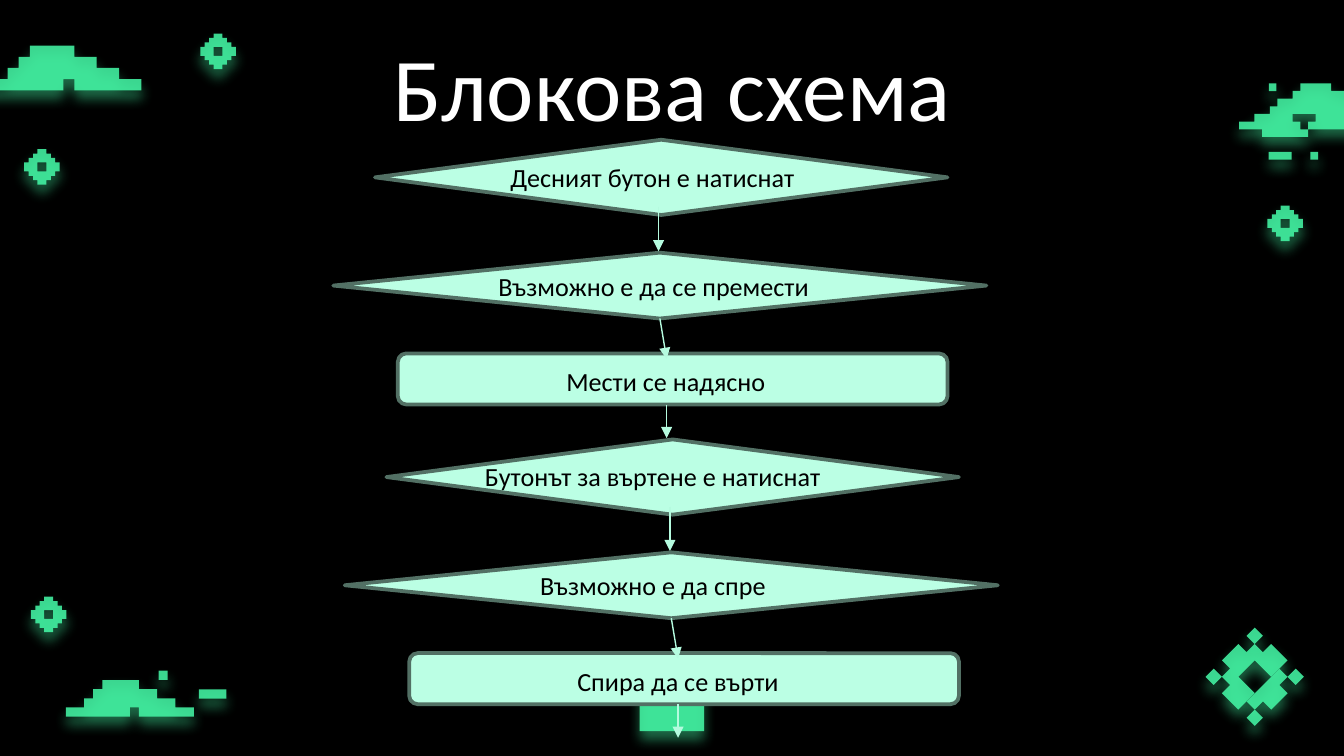
from lxml import etree
from pptx import Presentation
from pptx.dml.color import RGBColor
from pptx.enum.shapes import MSO_CONNECTOR, MSO_SHAPE
from pptx.enum.text import MSO_ANCHOR, PP_ALIGN
from pptx.oxml import parse_xml
from pptx.oxml.ns import nsdecls, qn
from pptx.util import Inches, Pt

DECISION = MSO_SHAPE.FLOWCHART_DECISION
ROUNDED = MSO_SHAPE.ROUNDED_RECTANGLE
STRAIGHT = MSO_CONNECTOR.STRAIGHT
TOP = MSO_ANCHOR.TOP
LEFT, CENTER = PP_ALIGN.LEFT, PP_ALIGN.CENTER

WIDTH, HEIGHT, COLUMNS = Inches(10), Inches(5.625), 100
BLACK, WHITE = "000000", "FFFFFF"
GLOW, MINT, EDGE, ARROW = "44F6A5", "BBFFE4", "527064", "B5FBDF"
INSET = Inches(0.1)

FORMATS = {
    "title": {
        "frame": {"margin_top": INSET, "margin_bottom": INSET},
        "paragraph": {"alignment": CENTER, "line_spacing": 1.15, "space_after": Pt(10)},
        "font": {"size": Pt(48)},
        "color": WHITE,
    },
    "label": {
        "frame": {},
        "paragraph": {"alignment": LEFT},
        "font": {"size": Pt(14)},
        "color": BLACK,
    },
}
FORMATS["centered"] = {**FORMATS["label"], "paragraph": {"alignment": CENTER}}


def color(value):
    """Turn a hex string into a colour."""
    return RGBColor.from_string(value)


def assign(target, values):
    """Set each named attribute on the target."""
    for name, value in values.items():
        setattr(target, name, value)


def steps(start, moves):
    """Trace an outline from moves that alternate between down and right."""
    column, row = start
    points = [start]
    for index, move in enumerate(moves):
        column, row = (column + move, row) if index % 2 else (column, row + move)
        points.append((column, row))
    return points


def block(columns, rows):
    """Outline a rectangle of pixels."""
    return [steps((0, 0), [rows, columns, -rows])]


def rhombus(column, row):
    """Outline a small rhombus around a point."""
    return [(column - 1, row), (column, row + 1), (column + 1, row), (column, row - 1)]


COIN = [
    steps((3, 0), [1, -1, 1, -1, 1, -1, 2, 1, 1, 1, 1, 1, 1, 2,
                   -1, 1, -1, 1, -1, 1, -2, -1, -1, -1, -1, -1, -1]),
    steps((5, 3), [2, -2, -2]),
]
HILL = [steps((4, 0), [1, -1, 1, -1, 1, -2, 1, 7, -1, 1, 1, 6, -1, -2, -1, -2, -1, -2, -1])]
CLOUD = [steps((8, 0), [1, -1, 1, -2, 1, -1, 1, -2, 1, -2, 1, 3, 1, 6, -1, -1, -1, -1, -1, 3,
                        1, -1, 1, 14, -1, -2, -1, -3, -1, -2, -1, -2, -1, -2, -1])]
GEM = [
    [(2, 4), (3, 5), (2, 6), (3, 7), (2, 8), (4, 10), (6, 8), (4, 6),
     (6, 4), (8, 6), (10, 4), (8, 2), (7, 3), (6, 2), (5, 3), (4, 2)],
    [(5, 9), (6, 10), (7, 9), (8, 10), (10, 8), (9, 7), (10, 6), (9, 5)],
    *(rhombus(*center) for center in [(1, 6), (6, 1), (6, 11), (11, 6)]),
]

SCENERY = [
    (COIN, 2.3, 44.4, 0.33), (COIN, 94.3, 15.3, 0.33),
    (COIN, 1.8, 11.1, 0.33), (COIN, 14.9, 2.5, 0.33),
    (HILL, -1.1, 3.4, 0.83), (HILL, 4.9, 50.6, 0.68),
    (block(1, 1), 11.8, 49.9, 0.68), (block(3, 1), 14.8, 51.3, 0.68),
    (CLOUD, 92.2, 6.2, 0.57), (block(1, 1), 97.5, 11.3, 0.57),
    (block(1, 1), 94.4, 6.2, 0.57), (block(3, 1), 94.4, 11.3, 0.57),
    *(([outline], 89.7, 46.7, 0.61) for outline in GEM),
    (block(6, 7), 47.6, 48.8, 0.8),
]

STAGES = [
    (DECISION, (27.9, 10.4, 42.6, 5.6), 1.1, (49, 15.4, 49, 18.7)),
    (DECISION, (24.8, 18.8, 48.6, 4.9), 0.8, (49.1, 23.7, 49.6, 26.7)),
    (ROUNDED, (29.6, 26.3, 40.9, 3.8), 0.4, (49.6, 30.1, 49.6, 32.6)),
]
ROUNDS = [
    (0, 0, [("Десният бутон е натиснат", 37, 27.3, "label"),
            ("Възможно е да се премести", 36.1, 31.1, "label"),
            ("Мести се надясно", 32, 35.1, "centered")]),
    (0.85, 22.3, [("Бутонът за въртене е натиснат", 35.1, 30.9, "label"),
                  ("Възможно е да спре", 39.2, 31.1, "label"),
                  ("Спира да се върти", 32.9, 35.1, "centered")]),
]


class FlowSlide:
    """Hold the style and the current slide, measured in square grid cells."""

    def __init__(self, presentation, font="Calibri"):
        """Add a blank slide with a dark background."""
        self.cell = presentation.slide_width / COLUMNS
        self.font = font
        self.slide = presentation.slides.add_slide(presentation.slide_layouts[6])
        fill = self.slide.background.fill
        fill.solid()
        fill.fore_color.rgb = color(BLACK)

    def grid(self, *lengths):
        """Convert grid cells to slide units."""
        return [round(length * self.cell) for length in lengths]

    def paint(self, shape, fill):
        """Give a shape a plain fill and no shadow."""
        shape.shadow.inherit = False
        shape.fill.solid()
        shape.fill.fore_color.rgb = color(fill)

    def pixels(self, outlines, left, top, pixel):
        """Draw glowing pixel art from closed outlines."""
        first, *rest = outlines
        builder = self.slide.shapes.build_freeform(*first[0], scale=pixel * self.cell)
        builder.add_line_segments(first[1:], close=True)
        for outline in rest:
            builder.move_to(*outline[0])
            builder.add_line_segments(outline[1:], close=True)
        shape = builder.convert_to_shape(*self.grid(left, top))
        self.paint(shape, GLOW)
        shape.line.fill.background()
        properties = shape.element.spPr
        tint = properties.find(qn("a:solidFill")).find(qn("a:srgbClr"))
        etree.SubElement(tint, qn("a:alpha"), val="87000")
        properties.find(qn("a:effectLst")).append(parse_xml(
            f'<a:outerShdw {nsdecls("a")} blurRad="{Pt(6.8)}" dist="{Pt(4.5)}" dir="5400000" '
            f'algn="bl" rotWithShape="0"><a:srgbClr val="{GLOW}"><a:alpha val="50000"/>'
            '</a:srgbClr></a:outerShdw>'))

    def node(self, kind, box):
        """Draw one flowchart symbol."""
        shape = self.slide.shapes.add_shape(kind, *self.grid(*box))
        self.paint(shape, MINT)
        shape.line.color.rgb = color(EDGE)
        shape.line.width = Pt(2)

    def text(self, words, box, kind):
        """Write one line of text in a named format."""
        style = FORMATS[kind]
        frame = self.slide.shapes.add_textbox(*self.grid(*box)).text_frame
        assign(frame, {"word_wrap": True, "vertical_anchor": TOP, **style["frame"]})
        paragraph = frame.paragraphs[0]
        assign(paragraph, style["paragraph"])
        run = paragraph.add_run()
        run.text = words
        assign(run.font, {"name": self.font, **style["font"]})
        run.font.color.rgb = color(style["color"])

    def arrow(self, ends):
        """Draw a thin arrow between two points."""
        connector = self.slide.shapes.add_connector(STRAIGHT, *self.grid(*ends))
        connector.line.color.rgb = color(ARROW)
        connector.line.width = Pt(0.75)
        properties = connector.element.spPr
        etree.SubElement(properties.find(qn("a:ln")), qn("a:tailEnd"), type="triangle")
        etree.SubElement(properties, qn("a:effectLst"))


def main():
    """Build and save the flowchart slide."""
    presentation = Presentation()
    assign(presentation, {"slide_width": WIDTH, "slide_height": HEIGHT})
    flow = FlowSlide(presentation)
    for art in SCENERY:
        flow.pixels(*art)
    flow.text("Блокова схема", (11.9, 0.2, 76.2, 10.2), "title")
    for right, down, labels in ROUNDS:
        for (kind, box, drop, ends), (words, start, span, style) in zip(STAGES, labels):
            left, top, width, height = box
            flow.node(kind, (left + right, top + down, width, height))
            flow.text(words, (start, top + down + drop, span, 3.4), style)
        for *_, (start_x, start_y, end_x, end_y) in STAGES:
            flow.arrow((start_x + right, start_y + down, end_x + right, end_y + down))
    presentation.save("out.pptx")


if __name__ == "__main__":
    main()
